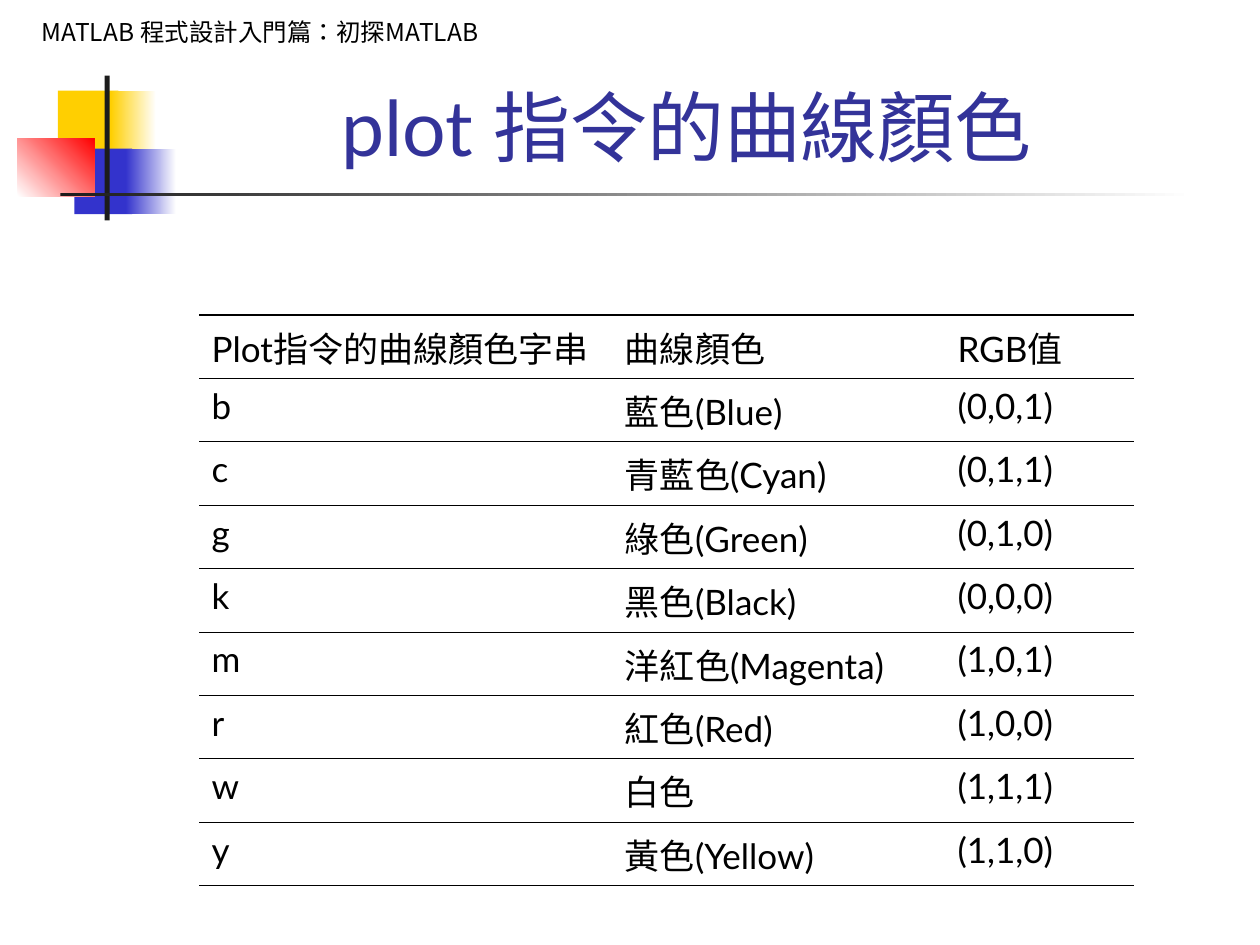
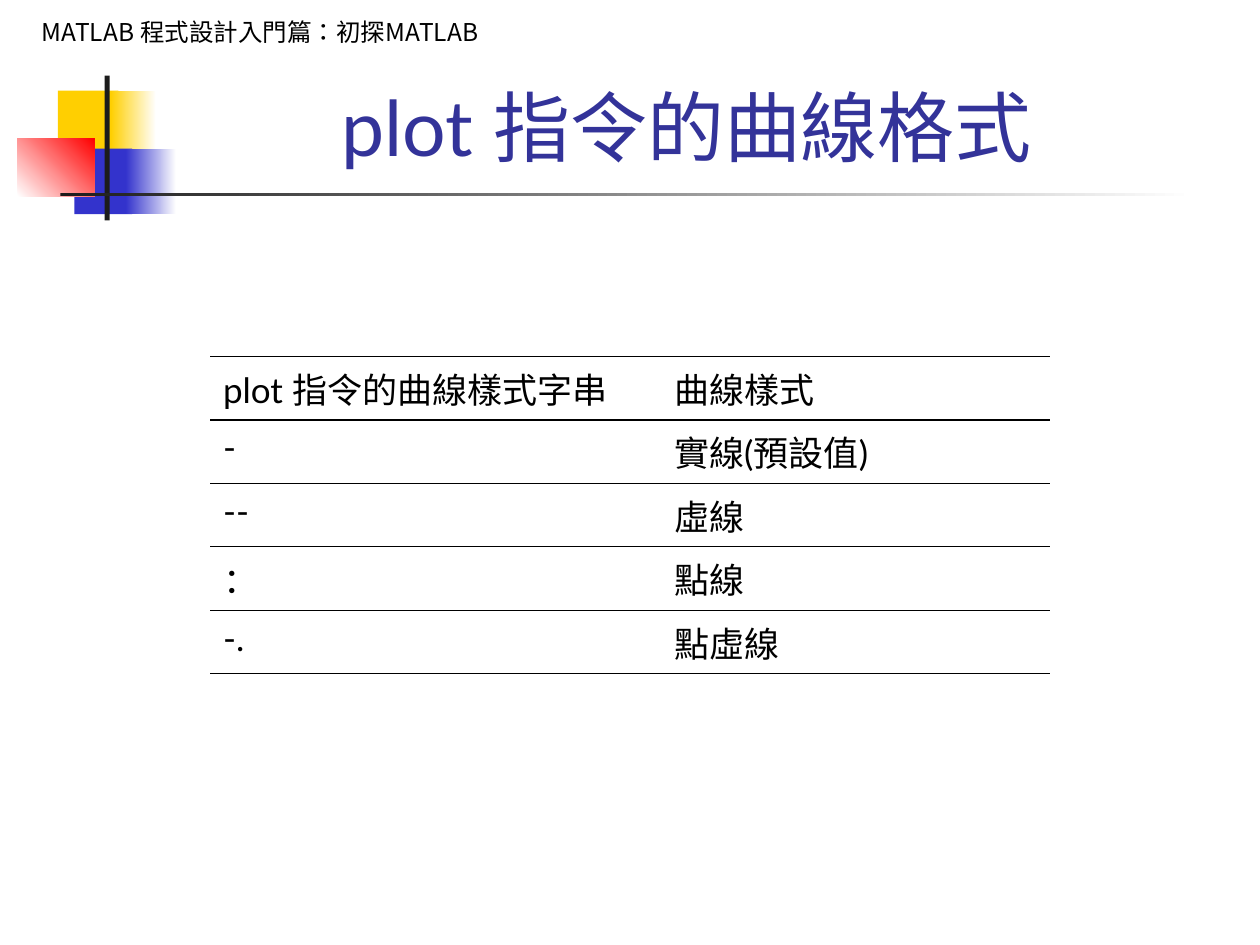
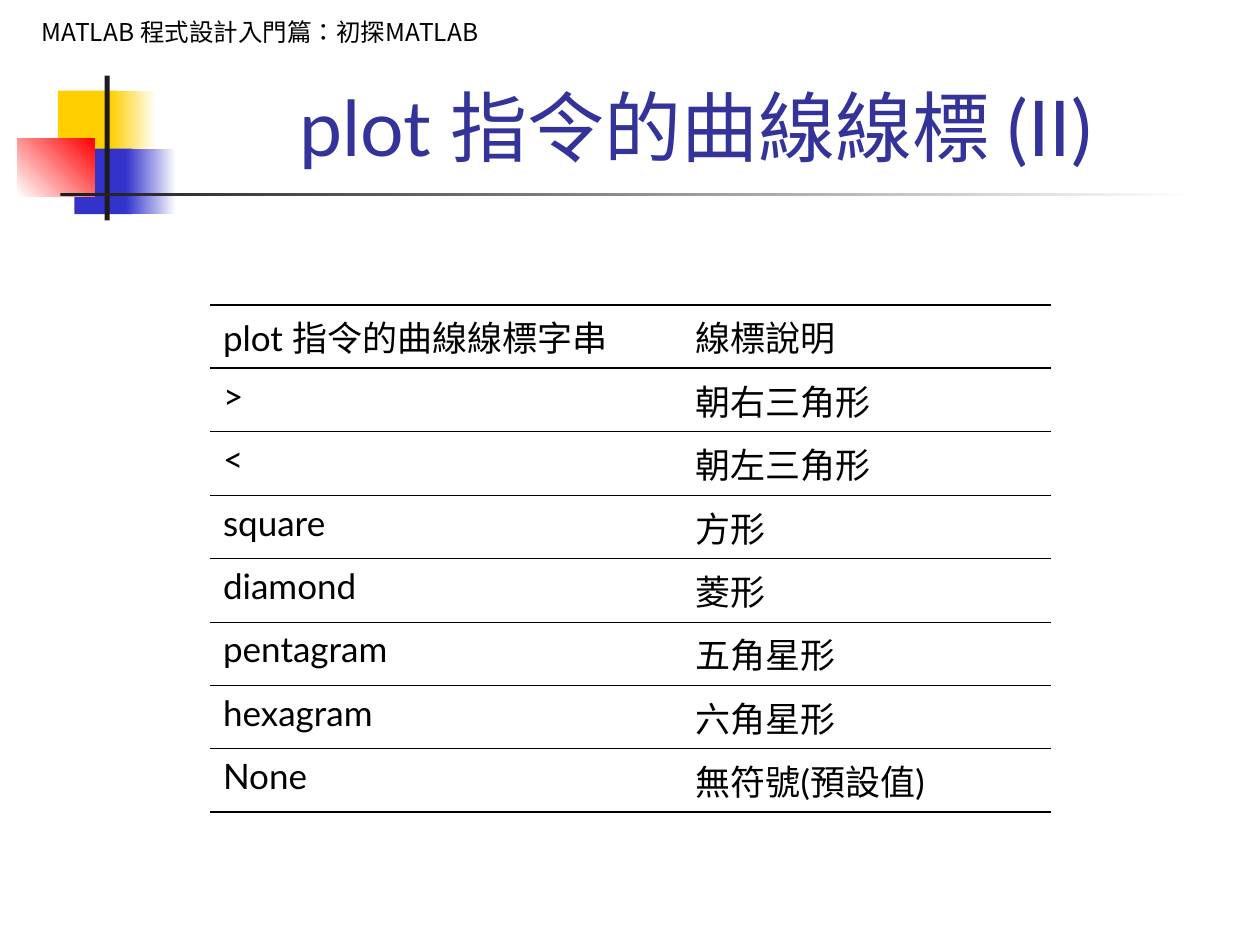
from lxml import etree
from pptx import Presentation
from pptx import util as u
from pptx.dml.color import RGBColor
from pptx.enum import lang, shapes, text
from pptx.oxml.ns import qn

WHITE = RGBColor(0xFF, 0xFF, 0xFF)
BLACK = RGBColor(0x00, 0x00, 0x00)
CHARCOAL = RGBColor(0x1C, 0x1C, 0x1C)
YELLOW = RGBColor(0xFF, 0xCF, 0x01)
BLUE = RGBColor(0x33, 0x33, 0xCC)
RED = RGBColor(0xFF, 0x00, 0x00)
TITLE_BLUE = RGBColor(0x33, 0x33, 0x99)

LATIN_FONT = "Lato"
CJK_FONT = "Noto Sans CJK SC"
NO_STYLE = "{2D5ABB26-0587-4C30-8999-92F81FD0307C}"
THIN, THICK = 0.45, 1.08
ROW_HEIGHT = u.Pt(36.25)

COURSE = "MATLAB 程式設計入門篇：初探MATLAB"

# Box in inches, gradient or solid colours, counter-clockwise angle
ORNAMENTS = [
    ((0.46, 0.72, 0.48, 0.52), [YELLOW], 0),
    ((0.88, 0.72, 0.36, 0.52), [YELLOW, WHITE], 0),
    ((0.59, 1.18, 0.46, 0.52), [BLUE], 0),
    ((1, 1.18, 0.4, 0.52), [BLUE, WHITE], 0),
    ((0.14, 1.1, 0.61, 0.46), [WHITE, RED], 45),
    ((0.83, 0.6, 0.04, 1.15), [CHARCOAL], 0),
    ((0.48, 1.53, 9, 0.03), [CHARCOAL, WHITE], 0),
]

COLOUR_ROWS = [
    ("Plot指令的曲線顏色字串", "曲線顏色", "RGB值"),
    ("b", "藍色(Blue)", "(0,0,1)"),
    ("c", "青藍色(Cyan)", "(0,1,1)"),
    ("g", "綠色(Green)", "(0,1,0)"),
    ("k", "黑色(Black)", "(0,0,0)"),
    ("m", "洋紅色(Magenta)", "(1,0,1)"),
    ("r", "紅色(Red)", "(1,0,0)"),
    ("w", "白色", "(1,1,1)"),
    ("y", "黃色(Yellow)", "(1,1,0)"),
]
STYLE_ROWS = [
    ("plot 指令的曲線樣式字串", "曲線樣式"),
    ("-", "實線(預設值)"),
    ("--", "虛線"),
    ("：", "點線"),
    ("-.", "點虛線"),
]
MARKER_ROWS = [
    ("plot 指令的曲線線標字串", "線標說明"),
    (">", "朝右三角形"),
    ("<", "朝左三角形"),
    ("square", "方形"),
    ("diamond", "菱形"),
    ("pentagram", "五角星形"),
    ("hexagram", "六角星形"),
    ("None", "無符號(預設值)"),
]


def inches(box):
    return [u.Inches(length) for length in box]


def write(frame, words, size, color, latin=LATIN_FONT, before=0, align=None):
    para = frame.paragraphs[0]
    para.text = words
    para.alignment = align
    para.space_before = u.Pt(before)
    para.font.size = u.Pt(size)
    para.font.color.rgb = color
    para.font.name = latin
    default_font = para._p.pPr.find(qn("a:defRPr"))
    etree.SubElement(default_font, qn("a:ea"), typeface=CJK_FONT)


def add_ornament(page, box, colors, angle):
    block = page.shapes.add_shape(shapes.MSO_SHAPE.RECTANGLE, *inches(box))
    block.shadow.inherit = False
    block.line.fill.background()
    if len(colors) == 1:
        block.fill.solid()
        block.fill.fore_color.rgb = colors[0]
        return
    block.fill.gradient()
    block.fill.gradient_angle = angle
    for position, (stop, color) in enumerate(zip(block.fill.gradient_stops, colors)):
        stop.position = position
        stop.color.rgb = color


def add_text(page, box, words, size, color, anchor, **style):
    label = page.shapes.add_textbox(*inches(box))
    frame = label.text_frame
    frame.word_wrap = True
    frame.vertical_anchor = anchor
    write(frame, words, size, color, align=text.PP_ALIGN.CENTER, **style)
    return label


def add_page(deck, title):
    """Add a blank slide with the shared ornaments, course name and title."""
    page = deck.slides.add_slide(deck.slide_layouts[6])
    for box, colors, angle in ORNAMENTS:
        add_ornament(page, box, colors, angle)
    course = add_text(page, (0.08, 0.08, 3.97, 0.34), COURSE, 14, BLACK,
                      text.MSO_ANCHOR.MIDDLE, latin=CJK_FONT, before=8.8)
    course.fill.solid()
    course.fill.fore_color.rgb = WHITE
    # Traditional Chinese centres the full-width colon
    span = course.text_frame.paragraphs[0].runs[0]
    span.font.language_id = lang.MSO_LANGUAGE_ID.TRADITIONAL_CHINESE
    add_text(page, (1.26, 0.58, 8.52, 0.83), title, 44, TITLE_BLUE,
             text.MSO_ANCHOR.BOTTOM)
    return page


def set_rules(cell, top, bottom):
    """Rule a cell above and below only; widths are in points."""
    properties = cell._tc.get_or_add_tcPr()
    for side, width in (("L", 0), ("R", 0), ("T", top), ("B", bottom)):
        line = etree.SubElement(properties, qn(f"a:ln{side}"), w=str(u.Pt(width)))
        if width:
            fill = etree.SubElement(line, qn("a:solidFill"))
            etree.SubElement(fill, qn("a:srgbClr"), val=str(BLACK))
        else:
            etree.SubElement(line, qn("a:noFill"))


def add_ruled_table(page, left, top, widths, rows):
    place = inches((left, top, sum(widths)))
    frame = page.shapes.add_table(len(rows), len(widths), *place,
                                  ROW_HEIGHT * len(rows))
    table = frame.table
    table._tbl.tblPr.find(qn("a:tableStyleId")).text = NO_STYLE
    table.first_row = table.horz_banding = False
    for column, width in zip(table.columns, widths):
        column.width = u.Inches(width)
    # Thick rules frame the header row and close the table
    rules = [THICK, THICK] + [THIN] * (len(rows) - 2) + [THICK]
    for r, row in enumerate(rows):
        for c, words in enumerate(row):
            cell = table.cell(r, c)
            set_rules(cell, rules[r], rules[r + 1])
            cell.fill.background()
            write(cell.text_frame, words, 20, BLACK, before=5)


def main():
    deck = Presentation()
    deck.slide_width, deck.slide_height = u.Inches(10), u.Inches(7.5)

    colours = add_page(deck, "plot 指令的曲線顏色 ")
    add_ruled_table(colours, 1.58, 2.5, (3.28, 2.64, 1.5), COLOUR_ROWS)

    styles = add_page(deck, "plot 指令的曲線格式 ")
    add_ruled_table(styles, 1.67, 2.83, (3.58, 3.08), STYLE_ROWS)

    markers = add_page(deck, "plot 指令的曲線線標 (II)")
    add_ruled_table(markers, 1.67, 2.42, (3.75, 2.92), MARKER_ROWS)

    deck.save("out.pptx")


if __name__ == "__main__":
    main()
